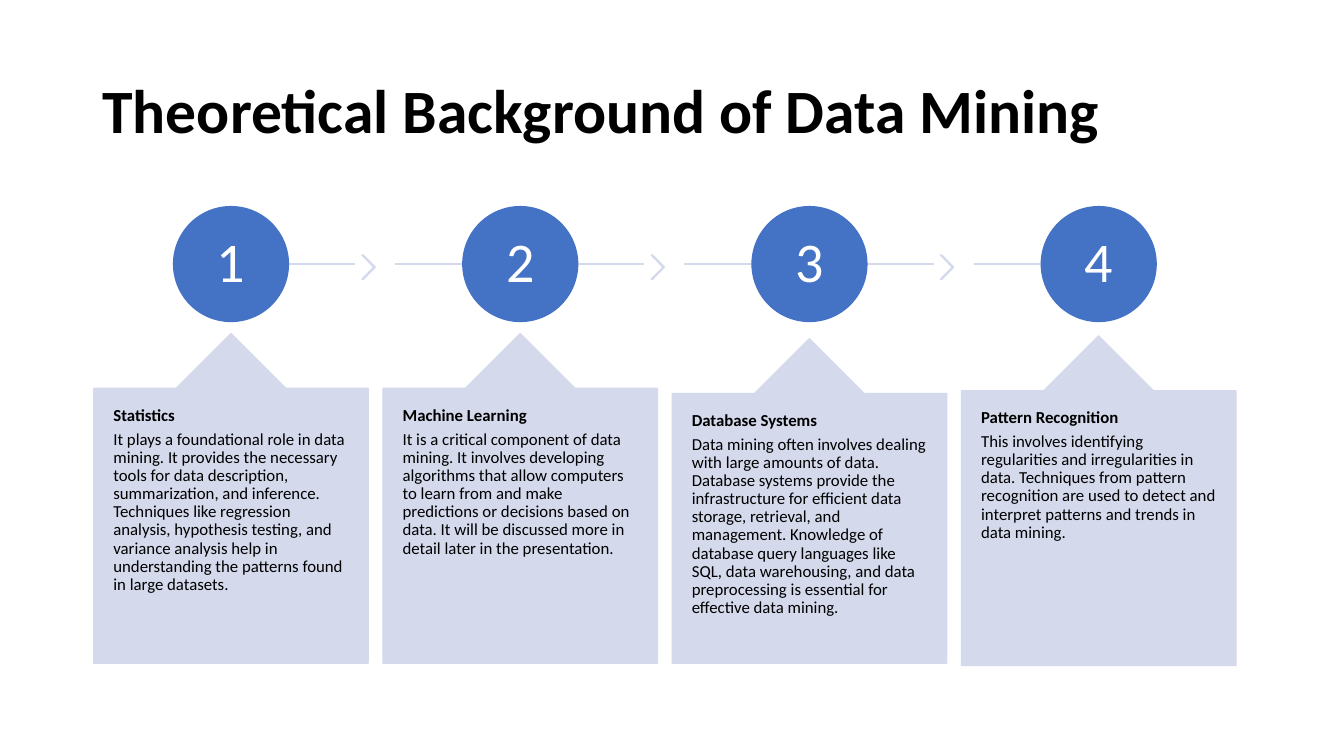
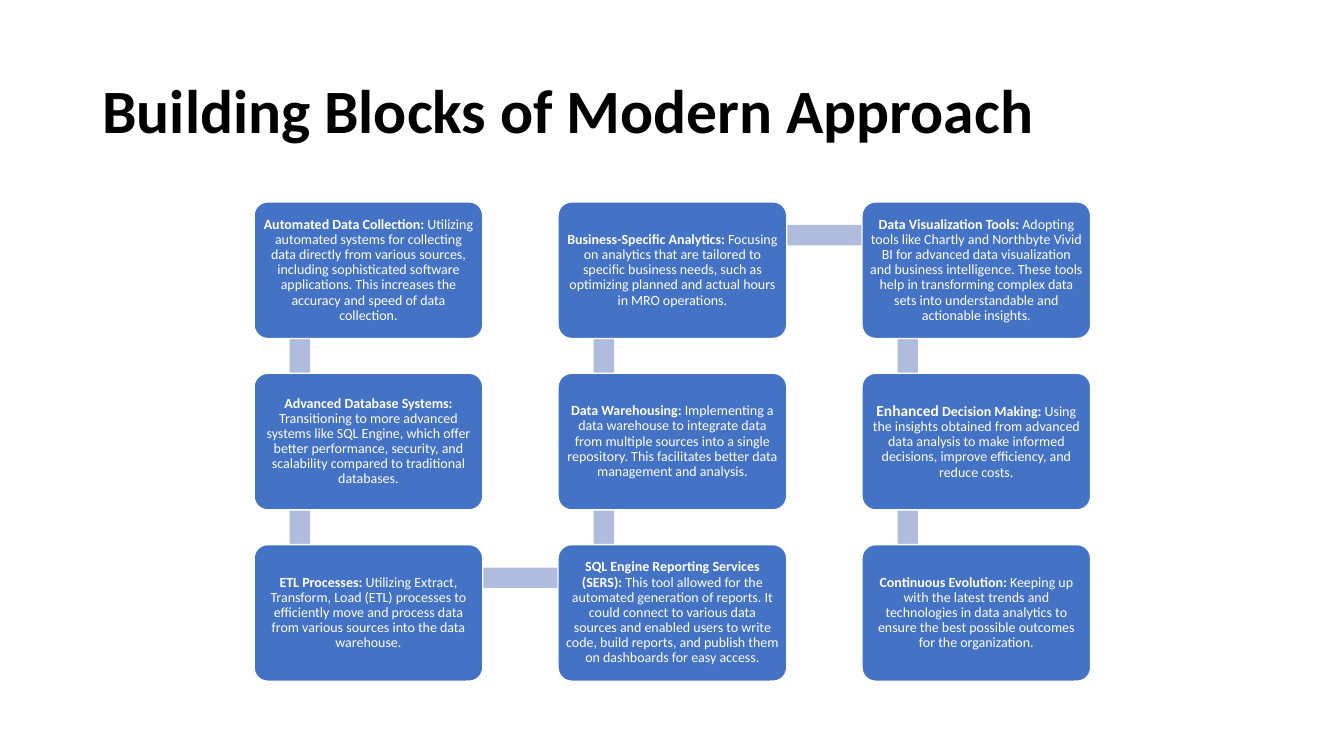
from itertools import pairwise

from lxml import etree
from pptx import Presentation
from pptx.dml.color import RGBColor
from pptx.enum.shapes import MSO_CONNECTOR as Connector, MSO_SHAPE as Shape
from pptx.enum.text import MSO_ANCHOR as Anchor, MSO_AUTO_SIZE as AutoSize, PP_ALIGN as Align
from pptx.oxml.ns import qn
from pptx.util import Pt

FONT = "Calibri"
BLUE, PALE, BAR = "4472C4", "D4D9EC", "B0BCDE"
BLACK, WHITE = "000000", "FFFFFF"

# Numbered topics: cards in a row, each below its circle
CARD_LEFT, CARD_PITCH, CARD_WIDTH = 67, 206.6, 196
CIRCLE_TOP, CIRCLE_SIZE = 147.6, 82
CHEVRON_WIDTH, CHEVRON_HEIGHT = 9.4, 17.3

# Building blocks: a grid walked down, up and down again
GRID_LEFT, GRID_TOP = 181.5, 144.2
COLUMN_PITCH, ROW_PITCH = 217.1, 122.4
BLOCK_WIDTH, BLOCK_HEIGHT = 163.4, 97.6
BAR_THICKNESS = 14.6
SNAKE = [(0, 0), (0, 1), (0, 2), (1, 2), (1, 1), (1, 0), (2, 0), (2, 1), (2, 2)]

# Heading, body, card top, card height
TOPICS = [
    ("Statistics",
     "It plays a foundational role in data mining. It provides the necessary tools for data "
     "description, summarization, and inference. Techniques like regression analysis, hypothesis "
     "testing, and variance analysis help in understanding the patterns found in large datasets.",
     238.3, 235.4),
    ("Machine Learning",
     "It is a critical component of data mining. It involves developing algorithms that allow "
     "computers to learn from and make predictions or decisions based on data. It will be "
     "discussed more in detail later in the presentation.",
     238.3, 235.4),
    ("Database Systems",
     "Data mining often involves dealing with large amounts of data. Database systems provide the "
     "infrastructure for efficient data storage, retrieval, and management. Knowledge of database "
     "query languages like SQL, data warehousing, and data preprocessing is essential for "
     "effective data mining.",
     241.9, 231.8),
    ("Pattern Recognition",
     "This involves identifying regularities and irregularities in data. Techniques from pattern "
     "recognition are used to detect and interpret patterns and trends in data mining.",
     240, 235.4),
]

# Runs of each block: text, bold, size
BLOCKS = [
    [("Automated Data Collection: ", True, 10),
     ("Utilizing automated systems for collecting data directly from various sources, including "
      "sophisticated software applications. This increases the accuracy and speed of data "
      "collection.", False, 10)],
    [("Advanced Database Systems: ", True, 10),
     ("Transitioning to more advanced systems like SQL Engine, which offer better performance, "
      "security, and scalability compared to traditional databases.", False, 10)],
    [("ETL Processes: ", True, 10),
     ("Utilizing Extract, Transform, Load (ETL) processes to efficiently move and process data "
      "from various sources into the data warehouse.", False, 10)],
    [("SQL Engine Reporting Services (SERS): ", True, 10),
     ("This tool allowed for the automated generation of reports. It could connect to various "
      "data sources and enabled users to write code, build reports, and publish them on "
      "dashboards for easy access.", False, 10)],
    [("Data Warehousing: ", True, 10),
     ("Implementing a data warehouse to integrate data from multiple sources into a single "
      "repository. This facilitates better data management and analysis.", False, 10)],
    [("Business-Specific Analytics: ", True, 10),
     ("Focusing on analytics that are tailored to specific business needs, such as optimizing "
      "planned and actual hours in MRO operations.", False, 10)],
    [("Data Visualization Tools: ", True, 10),
     ("Adopting tools like Chartly and Northbyte Vivid BI for advanced data visualization and "
      "business intelligence. These tools help in transforming complex data sets into "
      "understandable and actionable insights.", False, 10)],
    [("Enhanced", True, 11),
     (" Decision Making: ", True, 10),
     ("Using the insights obtained from advanced data analysis to make informed decisions, "
      "improve efficiency, and reduce costs.", False, 10)],
    [("Continuous Evolution: ", True, 10),
     ("Keeping up with the latest trends and technologies in data analytics to ensure the best "
      "possible outcomes for the organization.", False, 10)],
]


def rgb(code):
    return RGBColor.from_string(code)


def write_text(shape, paragraphs, *, color, align=Align.CENTER, anchor=Anchor.MIDDLE,
               inset=(3, 3), space_after=0):
    """Fill a shape with paragraphs, each a list of (text, bold, size) runs."""
    frame = shape.text_frame
    frame.word_wrap = True
    frame.auto_size = AutoSize.NONE
    frame.vertical_anchor = anchor
    frame.margin_left = frame.margin_right = Pt(inset[0])
    frame.margin_top = frame.margin_bottom = Pt(inset[1])
    for index, runs in enumerate(paragraphs):
        paragraph = frame.add_paragraph() if index else frame.paragraphs[0]
        paragraph.alignment = align
        paragraph.line_spacing = 0.9
        paragraph.space_before = Pt(0)
        paragraph.space_after = Pt(space_after)
        for text, bold, size in runs:
            run = paragraph.add_run()
            run.text = text
            run.font.name = FONT
            run.font.size = Pt(size)
            run.font.bold = bold
            run.font.color.rgb = rgb(color)


def add_box(slide, preset, left, top, width, height, *, fill, line=None, adjustments=()):
    box = slide.shapes.add_shape(preset, Pt(left), Pt(top), Pt(width), Pt(height))
    box.shadow.inherit = False
    box.fill.solid()
    box.fill.fore_color.rgb = rgb(fill)
    if line:
        box.line.color.rgb = rgb(line)
        box.line.width = Pt(1)
    else:
        box.line.fill.background()
    for index, value in enumerate(adjustments):
        box.adjustments[index] = value
    return box


def add_rule(slide, start, end, y):
    rule = slide.shapes.add_connector(Connector.STRAIGHT, Pt(start), Pt(y), Pt(end), Pt(y))
    rule.line.color.rgb = rgb(PALE)
    rule.line.width = Pt(1)
    etree.SubElement(rule._element.spPr, qn("a:effectLst"))


def add_titled_slide(deck, text):
    slide = deck.slides.add_slide(deck.slide_layouts[5])
    title = slide.shapes.title
    title.left, title.top, title.width, title.height = Pt(66), Pt(28.8), Pt(828), Pt(104.4)
    write_text(title, [[(text, True, 44)]], color=BLACK, align=Align.LEFT, inset=(7.2, 3.6))
    return slide


def add_topic(slide, index, heading, body, card_top, card_height):
    left = CARD_LEFT + index * CARD_PITCH
    center = left + CARD_WIDTH / 2
    middle = CIRCLE_TOP + CIRCLE_SIZE / 2
    is_first, is_last = index == 0, index == len(TOPICS) - 1

    add_rule(slide, center if is_first else left + 8.6, center if is_last else left + 186.6, middle)
    if not is_last:
        add_box(slide, Shape.CHEVRON, left + 191.6, 182.2, CHEVRON_WIDTH, CHEVRON_HEIGHT,
                fill=PALE, line=PALE, adjustments=[0.9])
    circle = add_box(slide, Shape.OVAL, center - CIRCLE_SIZE / 2, CIRCLE_TOP,
                     CIRCLE_SIZE, CIRCLE_SIZE, fill=BLUE, line=BLUE)
    write_text(circle, [[(str(index + 1), False, 40)]], color=WHITE, space_after=14)
    card = add_box(slide, Shape.UP_ARROW_CALLOUT, left, card_top, CARD_WIDTH, card_height,
                   fill=PALE, line=PALE, adjustments=[0.5, 0.2, 0.2, 1])
    write_text(card, [[(heading, True, 12)], [(body, False, 12)]], color=BLACK,
               align=Align.LEFT, anchor=Anchor.TOP, inset=(14, 13), space_after=4.2)


def block_corner(column, row):
    return GRID_LEFT + column * COLUMN_PITCH, GRID_TOP + row * ROW_PITCH


def add_bar(slide, cell, next_cell):
    """Link two neighbouring blocks; the blocks later cover the bar's ends."""
    left, top = block_corner(*min(cell, next_cell))
    if cell[0] == next_cell[0]:
        bounds = left + 25.4, top + 24, BAR_THICKNESS, ROW_PITCH
    else:
        bounds = left + 33, top + 16.4, COLUMN_PITCH, BAR_THICKNESS
    add_box(slide, Shape.RECTANGLE, *bounds, fill=BAR)


def add_block(slide, cell, runs):
    block = add_box(slide, Shape.ROUNDED_RECTANGLE, *block_corner(*cell),
                    BLOCK_WIDTH, BLOCK_HEIGHT, fill=BLUE, line=WHITE, adjustments=[0.1])
    write_text(block, [runs], color=WHITE, space_after=3.5)


def main():
    deck = Presentation()
    deck.slide_width, deck.slide_height = Pt(960), Pt(540)

    background = add_titled_slide(deck, "Theoretical Background of Data Mining")
    for index, topic in enumerate(TOPICS):
        add_topic(background, index, *topic)

    approach = add_titled_slide(deck, "Building Blocks of Modern Approach")
    for cell, next_cell in pairwise(SNAKE):
        add_bar(approach, cell, next_cell)
    for cell, runs in zip(SNAKE, BLOCKS):
        add_block(approach, cell, runs)

    deck.save("out.pptx")


if __name__ == "__main__":
    main()
